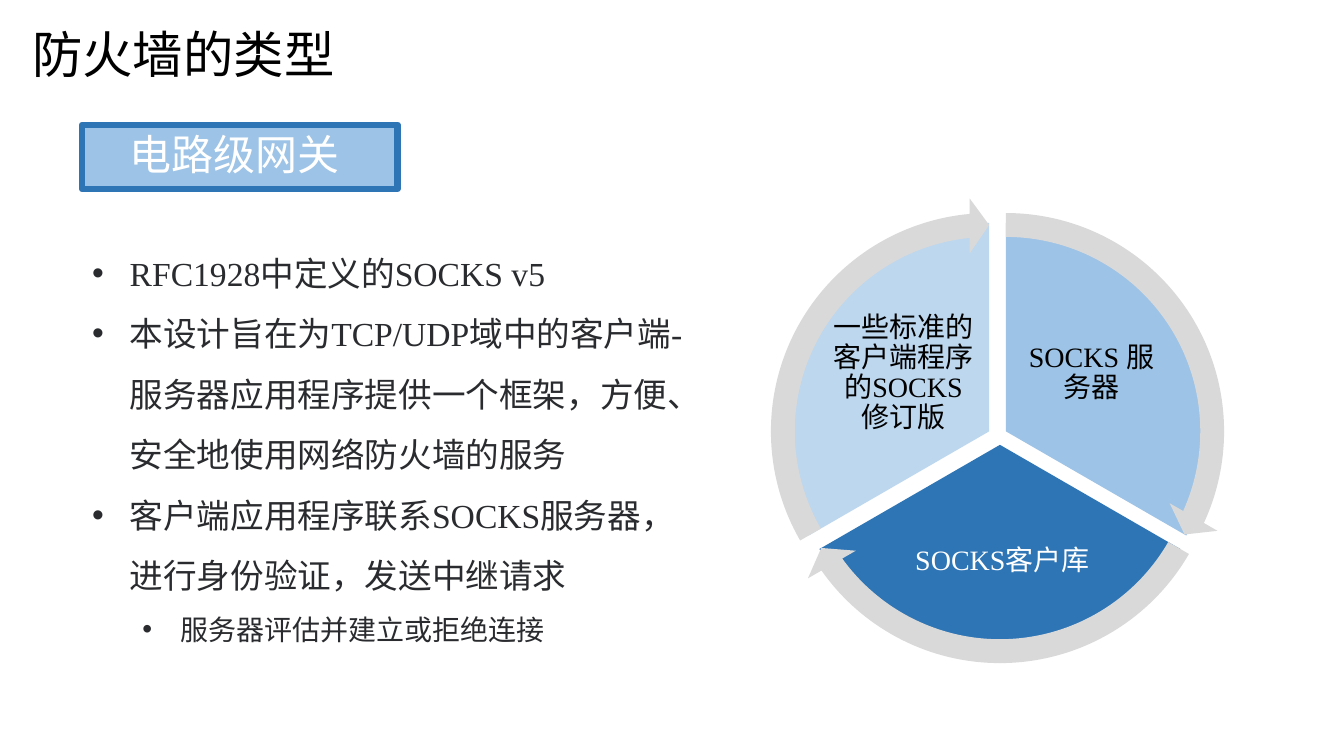
from math import cos, radians, sin

from lxml.etree import SubElement
from pptx import Presentation
from pptx.dml.color import RGBColor
from pptx.enum.shapes import MSO_SHAPE as Preset
from pptx.enum.text import MSO_ANCHOR as Anchor, PP_ALIGN as Align
from pptx.oxml.ns import qn
from pptx.util import Cm, Pt

BLACK = RGBColor(0x00, 0x00, 0x00)
WHITE = RGBColor(0xFF, 0xFF, 0xFF)
INK = RGBColor(0x2A, 0x2B, 0x2E)
PALE_BLUE = RGBColor(0xBD, 0xD7, 0xEE)
LIGHT_BLUE = RGBColor(0x9D, 0xC3, 0xE6)
DEEP_BLUE = RGBColor(0x2E, 0x75, 0xB6)
GREY = RGBColor(0xD9, 0xD9, 0xD9)

CHINESE = "Noto Sans CJK SC"
LATIN = "Times New Roman"

BULLETS = [
    ("RFC1928中定义的SOCKS v5", 0),
    ("本设计旨在为TCP/UDP域中的客户端-服务器应用程序提供一个框架，"
     "方便、安全地使用网络防火墙的服务", 0),
    ("客户端应用程序联系SOCKS服务器，进行身份验证，发送中继请求", 0),
    ("服务器评估并建立或拒绝连接", 1),
]
BULLET_FORMATS = [{"size": 24, "left": 0.95}, {"size": 20, "left": 2.22}]
HANGING = 0.95

# Text, fill, text colour, centre, insets (left, top, right, bottom) in cm
SECTORS = [
    ("SOCKS 服务器", LIGHT_BLUE, BLACK, (25.35, 10.87), (5.59, 2.29, 1.27, 5.21)),
    ("SOCKS客户库", DEEP_BLUE, WHITE, (25.2, 11.21), (2.57, 6.86, 2.44, 0.99)),
    ("一些标准的客户端程序的SOCKS修订版", PALE_BLUE, BLACK, (24.93, 10.87),
     (1.27, 2.29, 5.59, 5.21)),
]
SWEEP = 360 // len(SECTORS)
RADIUS = 5.25
ARROW_SIZE = 11.79
ARROW_SWEEP = 114.54
ANGLE_UNIT = 0.6  # adjustment value of one degree


def format_frame(frame, insets, anchor=Anchor.MIDDLE):
    """Set wrapping, anchor and insets (left, top, right, bottom) in cm."""
    values = {"word_wrap": True, "vertical_anchor": anchor}
    for side, inset in zip(("left", "top", "right", "bottom"), insets):
        values[f"margin_{side}"] = Cm(inset)
    for name, value in values.items():
        setattr(frame, name, value)


def write(paragraph, text, font_name, size, color, **formats):
    run = paragraph.add_run()
    run.text = text
    run.font.size = Pt(size)
    run.font.color.rgb = color
    run.font.name = font_name
    east_asian = SubElement(run.font._element, qn("a:ea"))
    east_asian.set("typeface", CHINESE)
    for name, value in formats.items():
        setattr(paragraph, name, value)


def paint(shape, fill):
    shape.shadow.inherit = False
    shape.fill.solid()
    shape.fill.fore_color.rgb = fill
    shape.line.fill.background()


def add_title(slide, text):
    frame = slide.shapes.add_textbox(Cm(0.53), 0, Cm(15.01), Cm(2.69)).text_frame
    format_frame(frame, (0.28, 0.15, 0.28, 0.15))
    write(frame.paragraphs[0], text, CHINESE, 36, BLACK)


def add_label(slide, text):
    shape = slide.shapes.add_shape(
        Preset.RECTANGLE, Cm(2.07), Cm(3.14), Cm(7.95), Cm(1.63))
    paint(shape, LIGHT_BLUE)
    shape.line.color.rgb = DEEP_BLUE
    shape.line.width = Pt(4.33)
    SubElement(shape.line._get_or_add_ln(), qn("a:round"))
    format_frame(shape.text_frame, (1.2, 0, 1.2, 0))
    write(shape.text_frame.paragraphs[0], text, CHINESE, 30, WHITE,
          alignment=Align.LEFT, line_spacing=0.9)


def add_bullets(slide, items):
    frame = slide.shapes.add_textbox(
        Cm(2.07), Cm(5.73), Cm(15.44), Cm(10.62)).text_frame
    format_frame(frame, (0.25, 0.13, 0.25, 0.13), Anchor.TOP)
    for index, (text, level) in enumerate(items):
        paragraph = frame.add_paragraph() if index else frame.paragraphs[0]
        bullet_format = BULLET_FORMATS[level]
        write(paragraph, text, LATIN, bullet_format["size"], INK,
              level=level, line_spacing=1.5)
        properties = paragraph._p.get_or_add_pPr()
        properties.set("marL", str(Cm(bullet_format["left"])))
        properties.set("indent", str(-Cm(HANGING)))
        SubElement(properties, qn("a:buFont")).set("typeface", "Arial")
        SubElement(properties, qn("a:buChar")).set("char", "•")


def bend_outline(shape, start):
    """Replace the segments after the first radius with one true arc."""
    first, *rest = shape._element.findall(".//" + qn("a:lnTo"))
    outline = first.getparent()
    for segment in rest:
        outline.remove(segment)
    arc = SubElement(outline, qn("a:arcTo"))
    first.addnext(arc)
    values = {"wR": Cm(RADIUS), "hR": Cm(RADIUS),
              "stAng": start % 360 * 60000, "swAng": SWEEP * 60000}
    for name, value in values.items():
        arc.set(name, str(value))


def add_sector(slide, start, text, fill, color, center, insets):
    """Add a pie sector, framed by its full circle, clockwise from start."""
    x, y = center
    rim = [(Cm(x + RADIUS * cos(radians(angle))),
            Cm(y + RADIUS * sin(radians(angle))))
           for angle in (start, 0, 90, 180, 270)]
    builder = slide.shapes.build_freeform(Cm(x), Cm(y))
    builder.add_line_segments(rim, close=True)
    shape = builder.convert_to_shape()
    bend_outline(shape, start)
    paint(shape, fill)
    format_frame(shape.text_frame, insets)
    write(shape.text_frame.paragraphs[0], text, LATIN, 20, color,
          alignment=Align.CENTER, line_spacing=0.9)


def add_cycle_arrow(slide, start, center):
    left, top = (Cm(value - ARROW_SIZE / 2) for value in center)
    shape = slide.shapes.add_shape(
        Preset.CIRCULAR_ARROW, left, top, Cm(ARROW_SIZE), Cm(ARROW_SIZE))
    paint(shape, GREY)
    head = (start + ARROW_SWEEP) % 360 * ANGLE_UNIT
    tail = start % 360 * ANGLE_UNIT
    for index, value in enumerate((0.051, 3.275, head, tail, 0.059)):
        shape.adjustments[index] = value


def main():
    presentation = Presentation()
    presentation.slide_width = Cm(33.87)
    presentation.slide_height = Cm(19.05)
    slide = presentation.slides.add_slide(presentation.slide_layouts[6])

    add_title(slide, "防火墙的类型")
    add_label(slide, "电路级网关")
    add_bullets(slide, BULLETS)

    starts = [-90 + SWEEP * index for index in range(len(SECTORS))]
    for start, sector in zip(starts, SECTORS):
        add_sector(slide, start, *sector)
    for start, (_, _, _, center, _) in zip(starts, SECTORS):
        add_cycle_arrow(slide, start, center)

    presentation.save("out.pptx")


if __name__ == "__main__":
    main()
